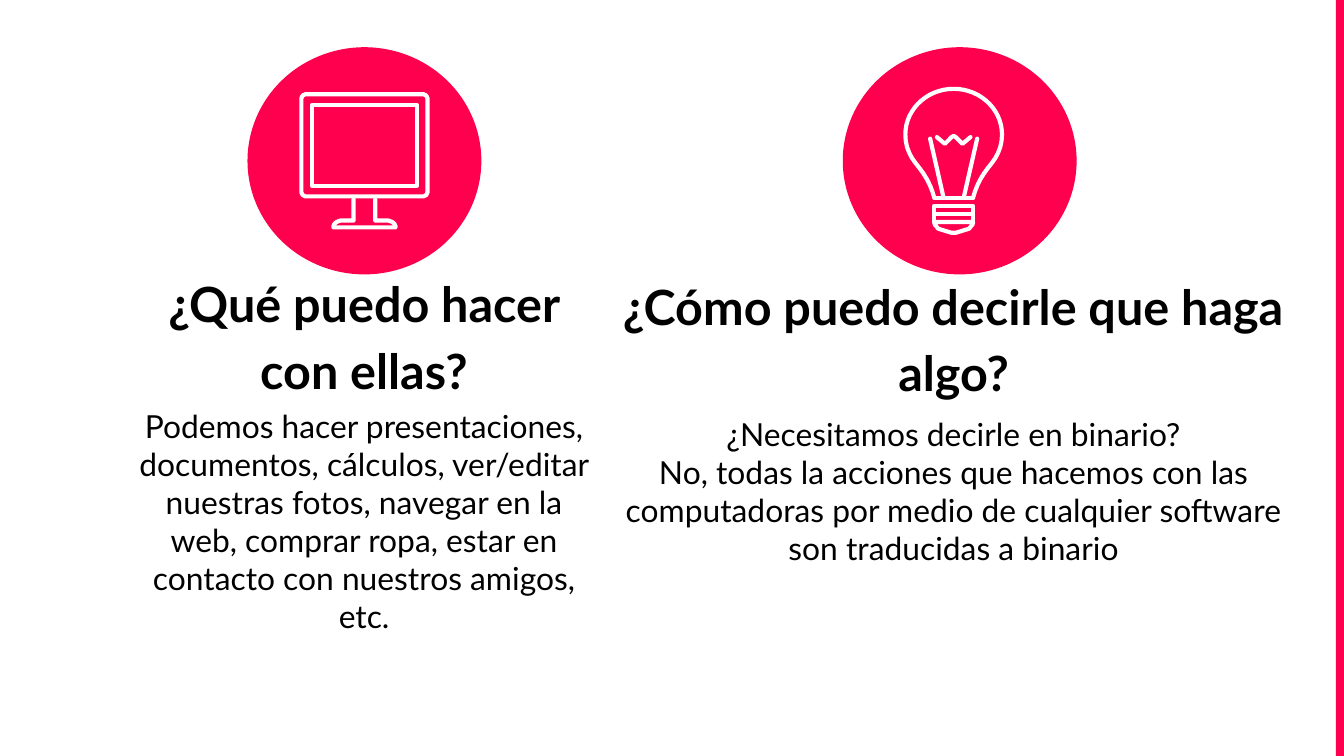
import math

import lxml.etree
import pptx
import pptx.dml.color
import pptx.enum.shapes
import pptx.enum.text
import pptx.oxml.ns
import pptx.util

Pt = pptx.util.Pt
PINK = pptx.dml.color.RGBColor(0xFF, 0x00, 0x4E)
WHITE = pptx.dml.color.RGBColor(0xFF, 0xFF, 0xFF)
BLACK = pptx.dml.color.RGBColor(0x00, 0x00, 0x00)
FONT = "Lato"
PAGE_WIDTH, PAGE_HEIGHT = 720, 405
BADGE_WIDTH, BADGE_HEIGHT = 125.28, 121.68

# Right halves of symmetric outlines: (distance from axis, distance from badge top)
STAND = [(5.8, 81.4), (5.8, 92.9), (13, 92.9), (14.8, 93.6), (16, 94.5),
         (16.6, 95.8), (16.6, 96.5)]
FRAME = [(31.7, 25.2), (33.1, 25.9), (33.8, 27.4), (33.8, 77.8), (33.1, 79.2),
         (31.7, 79.9)]
SCREEN = [(28.1, 31), (28.1, 74.2)]
GLASS_STEM = [(10.4, 80.6), (11.4, 77.3), (12.7, 74), (14.3, 70.8), (16.2, 67.7),
              (18.3, 64.8), (20.5, 62), (22.3, 59.4), (23.8, 56.6), (25, 53.4),
              (25.7, 50)]
GLASS_DOME = [(25.9 * math.cos(math.radians(angle)),
               46.8 - 24.5 * math.sin(math.radians(angle)))
              for angle in range(0, 91, 6)]
TIP = [(10.4, 93.6), (10.1, 95), (9.4, 95.8), (8.3, 97.2), (1.1, 99.4)]
ZIGZAG = [(9, 48.2), (4.7, 51.8), (1.1, 48.2), (0, 47.5)]
FILAMENT = [(12.6, 49), (5.4, 80.6)]
NECK = [(10.4, 80.6)]


def flipped(points):
    return [(-x, y) for x, y in points]


def mirrored(half):
    """Join a right half to its mirror image at the half's last point."""
    return half + flipped(half)[::-1]


def fill_shape(shape, color):
    shape.shadow.inherit = False
    shape.fill.solid()
    shape.fill.fore_color.rgb = color
    shape.line.fill.background()


def draw_outline(group, axis, top, *contours, close=False):
    """Stroke contours given relative to a vertical axis and a top edge."""
    placed = [[(Pt(axis + x), Pt(top + y)) for x, y in contour] for contour in contours]
    builder = group.shapes.build_freeform(*placed[0][0])
    for number, contour in enumerate(placed):
        if number:
            builder.move_to(*contour[0])
        builder.add_line_segments(contour[1:], close=close)
    outline = builder.convert_to_shape()
    outline.shadow.inherit = False
    outline.fill.background()
    outline.line.color.rgb = WHITE
    outline.line.width = Pt(2.25)
    stroke = outline.line.fill._xPr
    stroke.set("cap", "rnd")
    lxml.etree.SubElement(stroke, pptx.oxml.ns.qn("a:round"))


def add_monitor(page, left, top):
    group = page.shapes.add_group_shape()
    axis = left + BADGE_WIDTH / 2
    draw_outline(group, axis, top, mirrored(STAND))
    draw_outline(group, axis, top, mirrored(FRAME), mirrored(SCREEN), close=True)


def add_bulb(page, left, top):
    group = page.shapes.add_group_shape()
    axis = left + 59.4
    for band_top in (89.3, 85):
        band = [(10.4, band_top), (10.4, band_top + 4.3)]
        draw_outline(group, axis, top, mirrored(band), close=True)
    draw_outline(group, axis, top, mirrored(TIP), close=True)
    for contour in (FILAMENT, mirrored(GLASS_STEM + GLASS_DOME), flipped(FILAMENT),
                    mirrored(ZIGZAG), mirrored(NECK)):
        draw_outline(group, axis, top, contour)


def add_badge(page, left, top, add_icon):
    circle = page.shapes.add_shape(
        pptx.enum.shapes.MSO_SHAPE.OVAL,
        Pt(left), Pt(top), Pt(BADGE_WIDTH), Pt(BADGE_HEIGHT))
    fill_shape(circle, PINK)
    add_icon(page, left, top)


def add_answer(page, left, top, width, height, question, lines):
    """Place a bold question above its answer; lines holds (text, line spacing)."""
    box = page.shapes.add_textbox(Pt(left), Pt(top), Pt(width), Pt(height))
    frame = box.text_frame
    frame.word_wrap = True
    frame.margin_left = frame.margin_right = Pt(7.2)
    frame.margin_top = frame.margin_bottom = Pt(7.2)
    heading = frame.paragraphs[0]
    heading.space_before, heading.space_after = Pt(18), Pt(4)
    paras = [heading] + [frame.add_paragraph() for _ in lines]
    for para, (text, spacing) in zip(paras, [(question, 1.15)] + lines):
        para.text = text
        para.alignment = pptx.enum.text.PP_ALIGN.CENTER
        para.line_spacing = spacing
        para.font.name = FONT
        para.font.size = Pt(26 if para is heading else 17)
        para.font.bold = para is heading
        para.font.color.rgb = BLACK


def add_edge_bar(page, width):
    bar = page.shapes.add_shape(
        pptx.enum.shapes.MSO_SHAPE.RECTANGLE,
        Pt(PAGE_WIDTH - width), 0, Pt(width), Pt(PAGE_HEIGHT))
    fill_shape(bar, PINK)


def main():
    deck = pptx.Presentation()
    deck.slide_width, deck.slide_height = Pt(PAGE_WIDTH), Pt(PAGE_HEIGHT)
    page = deck.slides.add_slide(deck.slide_layouts.get_by_name("Blank"))
    add_edge_bar(page, 4.4)
    add_badge(page, 451.5, 25.3, add_bulb)
    add_badge(page, 132.6, 25.3, add_monitor)
    add_answer(page, 66.6, 135, 257, 249.8, "¿Qué puedo hacer con ellas?", [
        ("Podemos hacer presentaciones, documentos, cálculos, ver/editar nuestras "
         "fotos, navegar en la web, comprar ropa, estar en contacto con nuestros "
         "amigos, etc.", 1.0)])
    add_answer(page, 323.7, 136.3, 374.4, 224, "¿Cómo puedo decirle que haga algo?", [
        ("¿Necesitamos decirle en binario?", 1.15),
        ("No, todas la acciones que hacemos con las computadoras por medio de "
         "cualquier software son traducidas a binario", 1.0)])
    deck.save("out.pptx")


if __name__ == "__main__":
    main()
